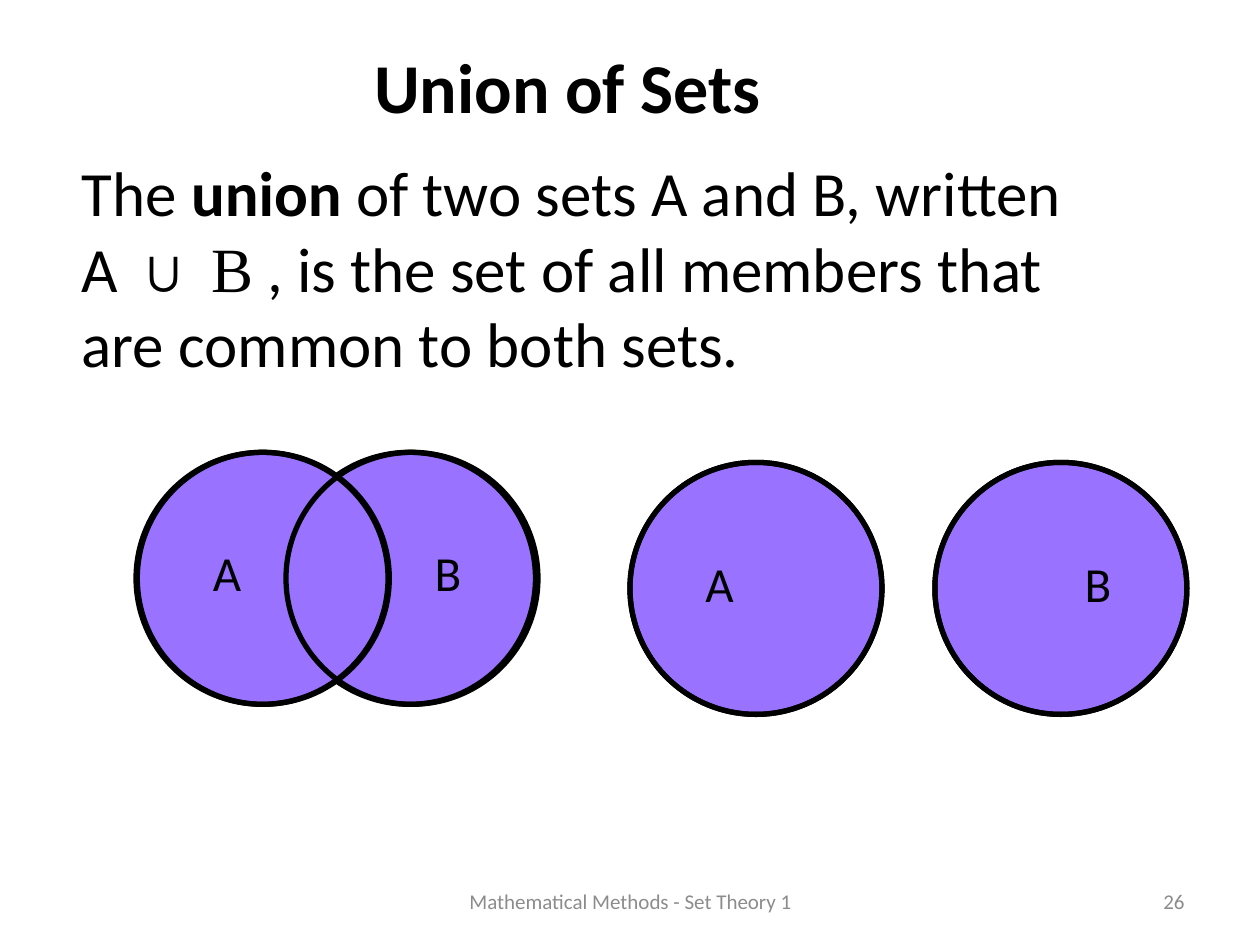
from dataclasses import dataclass
from typing import Any

from pptx import Presentation
from pptx.dml.color import RGBColor
from pptx.enum.shapes import MSO_SHAPE
from pptx.enum.text import MSO_ANCHOR, PP_ALIGN
from pptx.util import Inches, Pt

OVAL = MSO_SHAPE.OVAL
TOP, MIDDLE = MSO_ANCHOR.TOP, MSO_ANCHOR.MIDDLE
LEFT, CENTER, RIGHT = PP_ALIGN.LEFT, PP_ALIGN.CENTER, PP_ALIGN.RIGHT

WIDTH, HEIGHT = Inches(10), Inches(7.5)
COL, ROW = WIDTH / 100, HEIGHT / 75
SIZE = 20
BLACK, GREY, PURPLE = "000000", "8C8C8C", "9973FF"
SANS, SERIF = "Calibri", "Times New Roman"

Box = tuple[float, float, float, float]


@dataclass(frozen=True)
class Disc:
    """A set in the diagram; places are in grid columns and rows."""
    name: str
    col: float
    row: float
    shift: float
    slip: float = 0


@dataclass(frozen=True)
class Run:
    text: str
    bold: bool = False
    font: str = SANS
    wrap: bool = False


DISCS = [
    Disc("A", 10.9, 35.9, 5, slip=0.1),
    Disc("B", 22.7, 35.9, 10.8, slip=0.2),
    Disc("A", 50, 36.7, 5),
    Disc("B", 74.2, 36.7, 10.9),
]
BODY = [
    Run("The "),
    Run("union", bold=True),
    Run(" of two sets A and B, written", wrap=True),
    Run("A "),
    Run("∪ B", font=SERIF),
    Run(" , is the set of all members that are common to both sets."),
]


def grid(box: Box) -> list[int]:
    return [round(n * unit) for n, unit in zip(box, (COL, ROW, COL, ROW))]


def tint(target: Any, color: str) -> None:
    target.rgb = RGBColor.from_string(color)


def write(shape: Any, runs: list[Run], size: float, color: str = BLACK,
          align: Any = LEFT, anchor: Any = TOP) -> None:
    frame = shape.text_frame
    frame.word_wrap, frame.vertical_anchor = True, anchor
    para = frame.paragraphs[0]
    para.alignment = align
    for item in runs:
        run = para.add_run()
        run.text = item.text
        style = {"name": item.font, "size": Pt(size), "bold": item.bold}
        for key, value in style.items():
            setattr(run.font, key, value)
        tint(run.font.color, color)
        if item.wrap:
            para.add_line_break()


def add_text(shapes: Any, box: Box, runs: list[Run], size: float,
             **style: Any) -> None:
    write(shapes.add_textbox(*grid(box)), runs, size, **style)


def add_oval(shapes: Any, col: float, row: float,
             fill: str | None = None) -> None:
    oval = shapes.add_shape(OVAL, *grid((col, row, SIZE, SIZE)))
    oval.shadow.inherit = False
    if fill:
        oval.fill.solid()
        tint(oval.fill.fore_color, fill)
    else:
        oval.fill.background()
    oval.line.width = Pt(3)
    tint(oval.line.color, BLACK)


def add_ring(shapes: Any, disc: Disc) -> None:
    """Group the outline of a set with its letter."""
    group = shapes.add_group_shape().shapes
    add_oval(group, disc.col, disc.row)
    box = (disc.col + disc.shift, disc.row + 6.7, 5.8, 5.7)
    add_text(group, box, [Run(disc.name)], 28)


def main() -> None:
    deck = Presentation()
    deck.slide_width, deck.slide_height = WIDTH, HEIGHT
    slide = deck.slides.add_slide(deck.slide_layouts[5])
    shapes = slide.shapes

    for disc in reversed(DISCS):
        add_oval(shapes, disc.col - disc.slip, disc.row, PURPLE)

    title = shapes.title
    spots = zip(("left", "top", "width", "height"), grid((7.5, 1.7, 75.1, 10.1)))
    for key, value in spots:
        setattr(title, key, value)
    write(title, [Run("Union of Sets", bold=True)], 40,
          align=CENTER, anchor=MIDDLE)
    add_text(shapes, (5.5, 11.7, 85, 19.2), BODY, 36)

    for disc in DISCS:
        add_ring(shapes, disc)

    foot = {"color": GREY, "anchor": MIDDLE}
    add_text(shapes, (71.7, 69.5, 23.3, 4), [Run("26")], 12,
             align=RIGHT, **foot)
    add_text(shapes, (34.2, 69.5, 31.7, 4),
             [Run("Mathematical Methods - Set Theory 1")], 12,
             align=CENTER, **foot)
    deck.save("out.pptx")


if __name__ == "__main__":
    main()
